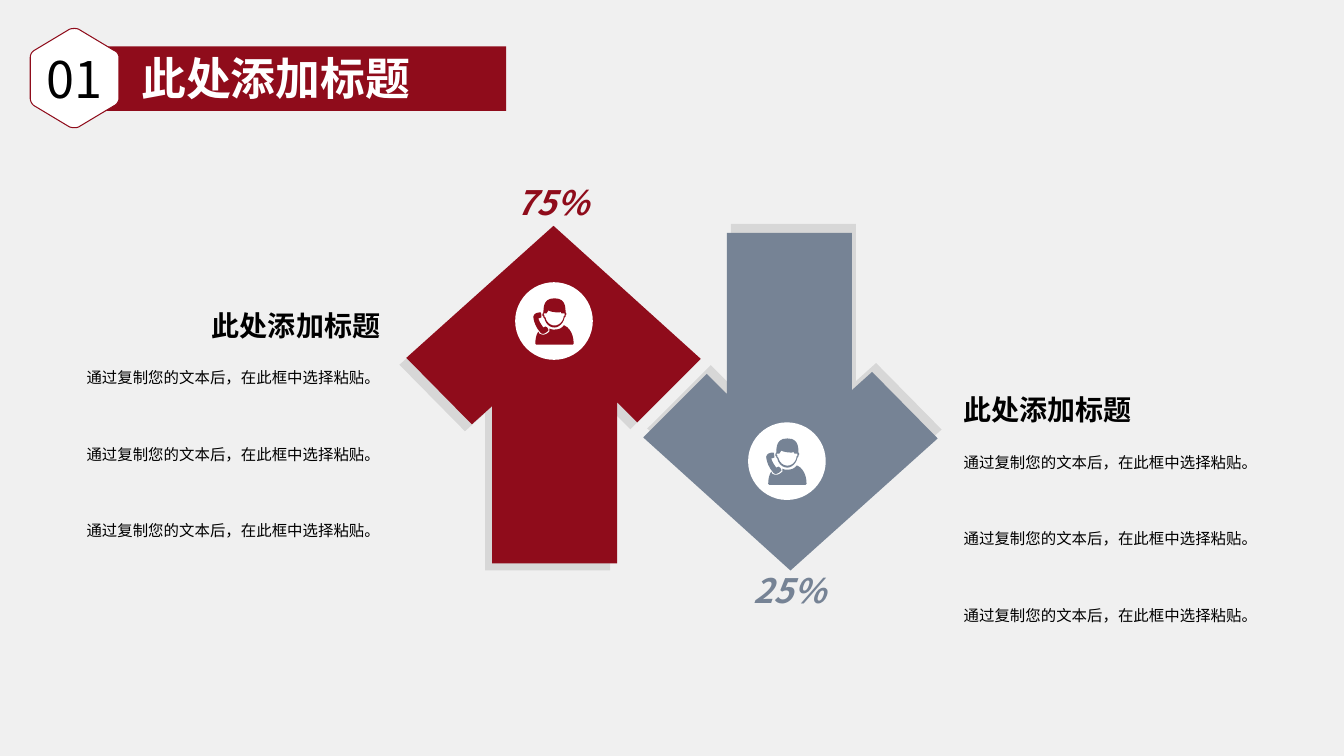
from lxml.etree import SubElement
from pptx import Presentation
from pptx.dml.color import RGBColor
from pptx.enum.shapes import MSO_SHAPE
from pptx.enum.text import MSO_ANCHOR, PP_ALIGN
from pptx.oxml.ns import qn
from pptx.util import Inches, Pt

FONT = "Noto Sans CJK SC"
RED, SLATE, WHITE, BLACK, PAPER = "8F0C1B", "768395", "FFFFFF", "000000", "F0F0F0"
HEADING = "此处添加标题"
BODY = "通过复制您的文本后，在此框中选择粘贴。"
ARROW_W, ARROW_H = 2.92, 3.35

# Outlines are in hundredths of an inch: pairs are corners, sixes are Bézier curves.
ARROW = [[(146, 0), (292, 132), (229, 195), (209, 175), (209, 335),
          (85, 335), (85, 179), (65, 197), (0, 131)]]
HEXAGON = [[(88, 29), (88, 26, 86, 23, 83, 22), (48, 1), (46, 0, 42, 0, 39, 1),
            (4, 22), (2, 23, 0, 26, 0, 29), (0, 70), (0, 72, 2, 76, 4, 77),
            (39, 98), (42, 99, 46, 99, 48, 98), (83, 77), (86, 76, 88, 72, 88, 70)]]
HAIR = [(10, 18), (10, 19, 10, 19, 11, 20), (12, 25, 16, 29, 21, 29),
        (25, 29, 30, 25, 31, 19), (32, 18), (32, 17), (33, 16, 33, 15, 32, 14),
        (32, 7, 31, 0, 21, 0), (11, 0, 10, 7, 10, 14), (9, 15, 9, 16, 9, 17)]
FACE = [(31, 17), (30, 18), (30, 19), (29, 24, 25, 27, 21, 27),
        (17, 27, 13, 24, 12, 19), (11, 18), (11, 17), (10, 16, 10, 15, 11, 15),
        (13, 15), (15, 12), (16, 13, 21, 14, 24, 14), (26, 14, 27, 14, 27, 13),
        (28, 15), (31, 15)]
TORSO = [(40, 45), (39, 46), (3, 46), (2, 45), (2, 40, 3, 36, 5, 33), (6, 35),
         (6, 35, 7, 36, 10, 36), (12, 36, 14, 35, 16, 33), (16, 30),
         (18, 31, 19, 31, 21, 31), (25, 31, 28, 30, 30, 27), (31, 27),
         (37, 30, 40, 37, 40, 45)]
PHONE = [(7, 34), (0, 26, 0, 18, 0, 18), (1, 14, 6, 14, 7, 14),
         (8, 14, 8, 18, 8, 19), (5, 20), (6, 24, 10, 29, 10, 29), (12, 28),
         (15, 29, 15, 32, 15, 32), (10, 37, 8, 35, 7, 34)]


def color(value):
    """Turn a hex string into a colour."""
    return RGBColor.from_string(value)


def paint(s, fill):
    """Give a shape a flat fill without line or shadow."""
    s.shadow.inherit = False
    s.fill.solid()
    s.fill.fore_color.rgb = color(fill)
    s.line.fill.background()
    return s


def trace(contour, steps=6):
    """Flatten corners and curves into points."""
    points = []
    for part in contour:
        if len(part) == 2:
            points.append(part)
            continue
        curve = [points[-1], part[:2], part[2:4], part[4:]]
        for i in range(1, steps + 1):
            t = i / steps
            weights = ((1 - t) ** 3, 3 * t * (1 - t) ** 2, 3 * t * t * (1 - t), t ** 3)
            points.append(tuple(sum(w * c[axis] for w, c in zip(weights, curve))
                                for axis in (0, 1)))
    return [(x * 100, y * 100) for x, y in points]


def add_outline(slide, contours, x, y, fill):
    """Draw closed contours with their corner at x, y."""
    first, *others = [trace(c) for c in contours]
    builder = slide.shapes.build_freeform(*first[0], scale=Inches(1) / 10000)
    builder.add_line_segments(first[1:], close=True)
    for points in others:
        builder.move_to(*points[0])
        builder.add_line_segments(points[1:], close=True)
    return paint(builder.convert_to_shape(Inches(x), Inches(y)), fill)


def cast_shadow(s, angle):
    """Add a faint hard shadow in the given direction."""
    effects = s._element.spPr.find(qn("a:effectLst"))
    shadow = SubElement(effects, qn("a:outerShdw"), blurRad="0", dist=str(Pt(7)),
                        dir=str(angle * 60000), algn="ctr", rotWithShape="0")
    tint = SubElement(shadow, qn("a:srgbClr"), val=BLACK)
    SubElement(tint, qn("a:alpha"), val="10000")


def write(s, text, size, ink, align=PP_ALIGN.LEFT, anchor=MSO_ANCHOR.MIDDLE,
          wrap=True, bold=False, italic=False, spacing=None):
    """Write one formatted paragraph into a shape."""
    tf = s.text_frame
    tf.text, tf.word_wrap, tf.vertical_anchor = text, wrap, anchor
    p = tf.paragraphs[0]
    p.alignment, p.line_spacing = align, spacing
    r = p.runs[0]
    r.font.size, r.font.name = Pt(size), FONT
    r.font.bold, r.font.italic = bold, italic
    r.font.color.rgb = color(ink)
    SubElement(r._r.get_or_add_rPr(), qn("a:ea"), typeface=FONT)


def add_text(slide, x, y, w, h, text, size, ink, **style):
    """Add a text box at the given place."""
    s = slide.shapes.add_textbox(Inches(x), Inches(y), Inches(w), Inches(h))
    write(s, text, size, ink, **style)


def add_header(slide, x, y):
    """Place the numbered title banner."""
    paint(slide.shapes.add_shape(MSO_SHAPE.RECTANGLE, Inches(x + 0.69), Inches(y + 0.18),
                                 Inches(4.03), Inches(0.64)), RED)
    badge = add_outline(slide, HEXAGON, x, y, WHITE)
    badge.line.color.rgb = color(RED)
    badge.line.width = Pt(0)
    write(badge, "01", 36, BLACK, align=PP_ALIGN.CENTER, wrap=False)
    add_text(slide, x + 0.98, y + 0.17, 2.89, 0.64, HEADING, 32, WHITE,
             align=PP_ALIGN.RIGHT, wrap=False, bold=True)


def add_arrow(slide, x, y, fill, percent, up):
    """Place an arrow with its caller icon and percentage."""
    contours = ARROW if up else [[(ARROW_W * 100 - a, ARROW_H * 100 - b)
                                  for a, b in ARROW[0]]]
    cast_shadow(add_outline(slide, contours, x, y, fill), 135 if up else 294)
    disc_x, disc_y = (x + 1.08, y + 0.56) if up else (x + 1.04, y + 1.88)
    paint(slide.shapes.add_shape(MSO_SHAPE.OVAL, Inches(disc_x), Inches(disc_y),
                                 Inches(0.77), Inches(0.77)), WHITE)
    add_outline(slide, [HAIR, FACE, TORSO, PHONE], disc_x + 0.18, disc_y + 0.16, fill)
    add_text(slide, x + 0.62, y + (-0.54 if up else 3.24), 1.66, 0.55, percent, 24, fill,
             align=PP_ALIGN.CENTER, anchor=MSO_ANCHOR.BOTTOM, bold=True, italic=True)


def add_notes_column(slide, x, y, align):
    """Place a heading above three evenly spaced lines."""
    add_text(slide, x, y, 3.14, 0.53, HEADING, 20, BLACK, align=align, bold=True)
    for row in range(3):
        add_text(slide, x, y + 0.55 + row * 0.76, 3.14, 0.78, BODY, 11, BLACK,
                 align=align, anchor=MSO_ANCHOR.TOP, spacing=1.5)


def main():
    """Build and save the slide."""
    prs = Presentation()
    prs.slide_width, prs.slide_height = Inches(13.33), Inches(7.5)
    slide = prs.slides.add_slide(prs.slide_layouts[6])
    slide.background.fill.solid()
    slide.background.fill.fore_color.rgb = color(PAPER)
    add_arrow(slide, 4.03, 2.24, RED, "75%", up=True)
    add_arrow(slide, 6.38, 2.31, SLATE, "25%", up=False)
    add_notes_column(slide, 0.73, 2.96, PP_ALIGN.RIGHT)
    add_notes_column(slide, 9.46, 3.8, PP_ALIGN.LEFT)
    add_header(slide, 0.3, 0.28)
    prs.save("out.pptx")


if __name__ == "__main__":
    main()
